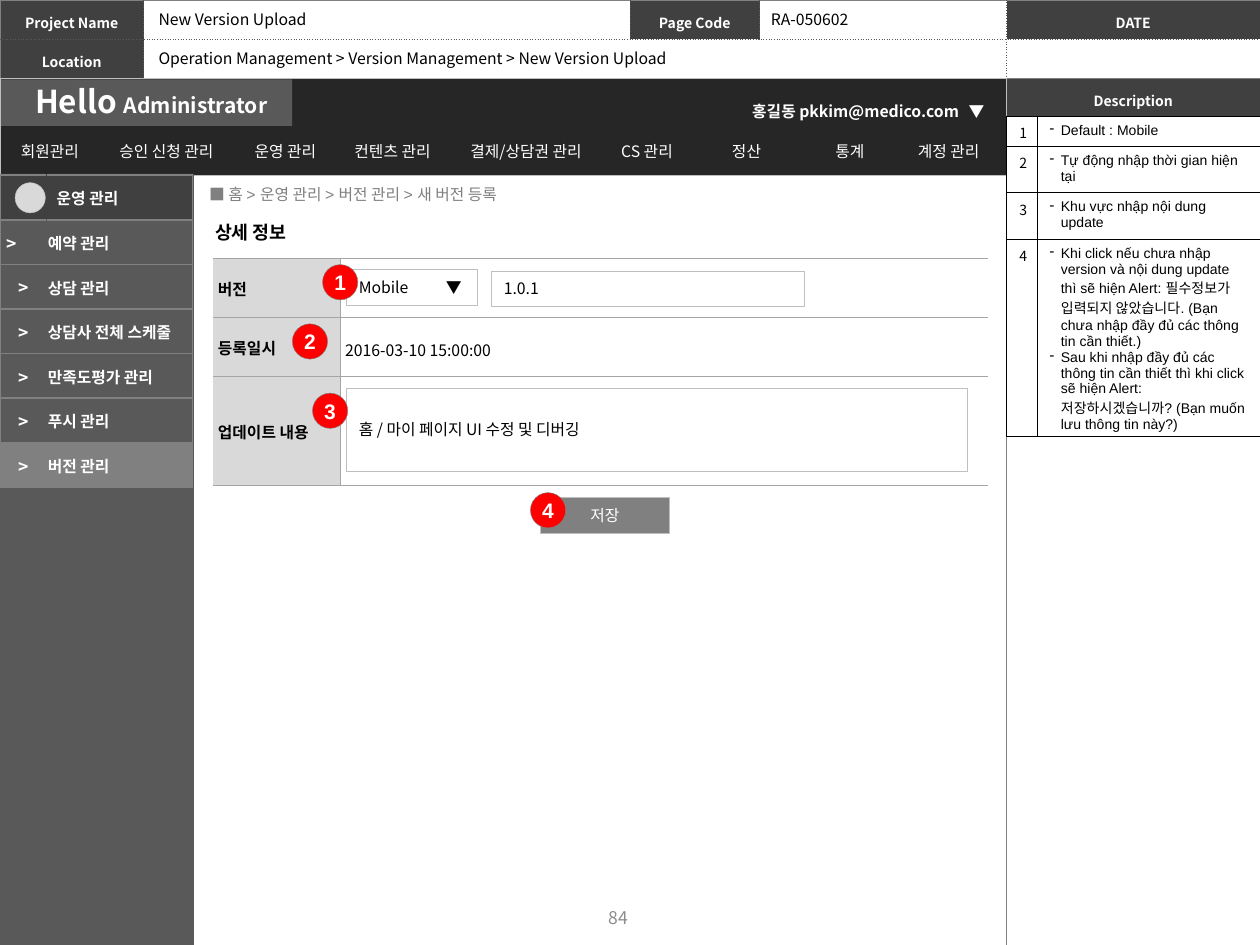
from lxml.etree import SubElement, Element
from pptx import Presentation
from pptx.dml.color import RGBColor
from pptx.enum.shapes import MSO_SHAPE
from pptx.enum.text import MSO_ANCHOR, PP_ALIGN
from pptx.oxml.ns import qn
from pptx.util import Inches, Pt

BLACK = RGBColor(0, 0, 0)
WHITE = RGBColor(255, 255, 255)
NAV = RGBColor(0x26, 0x26, 0x26)
DARK = RGBColor(0x40, 0x40, 0x40)
SIDE = RGBColor(0x59, 0x59, 0x59)
GRAY = RGBColor(0x80, 0x80, 0x80)
PAGE = RGBColor(0x8C, 0x8C, 0x8C)
RULE = RGBColor(0xA5, 0xA5, 0xA5)
SILVER = RGBColor(0xBF, 0xBF, 0xBF)
LIGHT = RGBColor(0xD9, 0xD9, 0xD9)
RED = RGBColor(255, 0, 0)
NOTO = "Noto Sans CJK KR"
CENTER = PP_ALIGN.CENTER
TOP, MIDDLE = MSO_ANCHOR.TOP, MSO_ANCHOR.MIDDLE

HEADER = [["Project Name", "", "Page Code", "", "DATE"], ["Location", "", "", "", ""]]
MENU = [("회원관리", 0.75), ("승인 신청 관리", 1.1), ("운영 관리", 0.79),
        ("컨텐츠 관리", 0.91), ("결제/상담권 관리", 1.21), ("CS 관리", 0.71),
        ("정산", 0.87), ("통계", 0.77), ("계정 관리", 0.8)]
SIDEBAR = ["운영 관리", "예약 관리", "상담 관리", "상담사 전체 스케줄",
           "만족도평가 관리", "푸시 관리", "버전 관리"]
FORM = [("버전", "", 0.47), ("등록일시", "2016-03-10 15:00:00", 0.47),
        ("업데이트 내용", "", 0.86)]
NOTES = [
    (["Default : Mobile"], 0.24),
    (["Tự động nhập thời gian hiện tại"], 0.37),
    (["Khu vực nhập nội dung update"], 0.37),
    (["Khi click nếu chưa nhập version và nội dung update thì sẽ hiện Alert: "
      "필수정보가 입력되지 않았습니다. (Bạn chưa nhập đầy đủ các thông tin cần thiết.)",
      "Sau khi nhập đầy đủ các thông tin cần thiết thì khi click sẽ hiện Alert: "
      "저장하시겠습니까? (Bạn muốn lưu thông tin này?)"], 1.56),
]
MARKERS = [("1", 2.56, 2.1), ("2", 2.32, 2.57), ("4", 4.21, 3.91), ("3", 2.48, 3.12)]
LABELS = [("New Version Upload", 1.16, 0.03, 1.39),
          ("RA-050602", 6.02, 0.03, 0.83),
          ("Operation Management > Version Management > New Version Upload",
           1.16, 0.34, 4.35)]

prs = Presentation()
prs.slide_width, prs.slide_height = Inches(10), Inches(7.5)
s = prs.slides.add_slide(prs.slide_layouts[6])


def add_run(p, text, size=9, color=BLACK, bold=False, font=NOTO):
    r = p.add_run()
    r.text = text
    r.font.size, r.font.bold, r.font.name = Pt(size), bold, font
    r.font.color.rgb = color
    SubElement(r._r.get_or_add_rPr(), qn("a:ea")).set("typeface", NOTO)


def write(tf, texts, align=None, spacing=None, bullet=False, tab=None, **style):
    for i, text in enumerate(texts):
        p = tf.add_paragraph() if i else tf.paragraphs[0]
        pPr = p._p.get_or_add_pPr()
        if align is not None:
            p.alignment = align
        if spacing:
            p.line_spacing = spacing
        if bullet:
            pPr.set("marL", str(Inches(0.09)))
            pPr.set("indent", str(-Inches(0.09)))
            SubElement(pPr, qn("a:buChar")).set("char", "-")
        if tab:
            stop = SubElement(SubElement(pPr, qn("a:tabLst")), qn("a:tab"))
            stop.set("pos", str(Inches(tab)))
            stop.set("algn", "l")
        if text:
            add_run(p, text, **style)
        else:
            SubElement(p._p, qn("a:endParaRPr")).set("sz", "800")


def add_label(text, x, y, w, h, anchor=TOP, wrap=False, left=0.1, **style):
    tf = s.shapes.add_textbox(Inches(x), Inches(y), Inches(w), Inches(h)).text_frame
    tf.word_wrap, tf.vertical_anchor, tf.margin_left = wrap, anchor, Inches(left)
    write(tf, [text] if text else [], **style)
    return tf


def add_box(x, y, w, h, fill, line=None, text=None, kind=MSO_SHAPE.RECTANGLE, **style):
    sp = s.shapes.add_shape(kind, Inches(x), Inches(y), Inches(w), Inches(h))
    sp.shadow.inherit = False
    sp.fill.solid()
    sp.fill.fore_color.rgb = fill
    if line is None:
        sp.line.fill.background()
    else:
        sp.line.color.rgb, sp.line.width = line, Pt(0.25)
    if text:
        tf = sp.text_frame
        tf.word_wrap, tf.vertical_anchor = False, MIDDLE
        write(tf, [text], **{"align": PP_ALIGN.LEFT, **style})


def border(cell, position, side, line):
    ln = Element(qn("a:ln" + side))
    if line is None:
        SubElement(ln, qn("a:noFill"))
    else:
        color, width, dash = line
        ln.set("w", str(Pt(width)))
        SubElement(SubElement(ln, qn("a:solidFill")), qn("a:srgbClr")).set("val", str(color))
        SubElement(ln, qn("a:prstDash")).set("val", dash)
    cell._tc.get_or_add_tcPr().insert(position, ln)


def add_grid(x, y, cols, rows, cells, ends, tops, across, down):
    """cells: rows of (texts, fill, margins, anchor, style)"""
    table = s.shapes.add_table(len(rows), len(cols), Inches(x), Inches(y),
                               Inches(sum(cols)), Inches(sum(rows))).table
    table.first_row = table.horz_banding = False
    for col, w in zip(table.columns, cols):
        col.width = Inches(w)
    for row, h in zip(table.rows, rows):
        row.height = Inches(h)
    for i, line in enumerate(cells):
        for j, (texts, fill, margins, anchor, style) in enumerate(line):
            cell = table.cell(i, j)
            sides = [("L", down[i] if j else ends),
                     ("R", down[i] if j < len(cols) - 1 else ends),
                     ("T", across if i else tops),
                     ("B", across if i < len(rows) - 1 else tops)]
            for k, (side, stroke) in enumerate(sides):
                border(cell, k, side, stroke)
            if fill is None:
                cell.fill.background()
            else:
                cell.fill.solid()
                cell.fill.fore_color.rgb = fill
            (cell.margin_left, cell.margin_top,
             cell.margin_right, cell.margin_bottom) = map(Inches, margins)
            cell.vertical_anchor = anchor
            write(cell.text_frame, texts, **style)
    return table


solid, dotted = (GRAY, 0.5, "solid"), (SIDE, 0.5, "sysDot")
head = dict(size=8, color=WHITE, bold=True, align=CENTER, spacing=1.3)
normal = (0.1, 0.05, 0.1, 0.05)


def head_cell(text):
    return [text], DARK if text else None, (0.04,) * 4, MIDDLE, head


header = add_grid(0, 0, [1.14, 3.86, 1.03, 1.96, 2.01], [0.31] * 2,
                  [[head_cell(t) for t in row] for row in HEADER],
                  solid, solid, dotted, [dotted] * 2)
header.cell(1, 1).merge(header.cell(1, 3))
add_grid(7.99, 0.62, [2.01], [0.31, 6.57], [[head_cell("Description")], [head_cell("")]],
         solid, solid, dotted, [dotted] * 2)

add_box(0, 0.62, 7.99, 0.77, NAV, SILVER)
add_box(0.01, 0.63, 2.31, 0.37, SIDE)
title = add_label("", 0.18, 0.6, 2.09, 0.4)
for text, size in [("Hello ", 18), ("Administrator", 12)]:
    add_run(title.paragraphs[0], text, size, WHITE, True)
nav_line = (NAV, 1, "solid")
add_grid(0.02, 1.04, [w for _, w in MENU], [0.31],
         [[([t], None, normal, MIDDLE, dict(color=WHITE, align=CENTER)) for t, _ in MENU]],
         nav_line, nav_line, nav_line, [nav_line])
user = dict(color=WHITE, bold=True, spacing=1.2)
add_label("홍길동 pkkim@medico.com", 5.82, 0.73, 1.94, 0.26, wrap=True, align=CENTER, **user)
add_label("▼", 7.59, 0.73, 0.33, 0.26, **user)
add_label("■ 홈 > 운영 관리 > 버전 관리 > 새 버전 등록", 1.46, 1.37, 6.22, 0.34,
          MIDDLE, True, 0.2, color=GRAY, font="Arial")

rule = (RULE, 0.5, "solid")
tight = (0.04, 0.01, 0.01, 0)
add_grid(1.69, 2.05, [1.01, 5.14], [h for *_, h in FORM],
         [[([name], LIGHT, tight, MIDDLE, dict(bold=True)),
           ([value], WHITE, tight, MIDDLE, dict(spacing=1.2))] for name, value, _ in FORM],
         None, rule, rule, [rule] * len(FORM))
add_box(3.9, 2.15, 2.48, 0.28, WHITE, SILVER, "1.0.1")
add_box(4.29, 3.95, 1.02, 0.28, GRAY, SILVER, "저장", color=WHITE, align=CENTER)
add_label("상세 정보", 1.61, 1.71, 0.84, 0.28, size=10.5, bold=True)
add_box(2.75, 3.08, 4.93, 0.66, WHITE, SILVER, "홈 / 마이 페이지 UI 수정 및 디버깅")
add_box(2.75, 2.14, 1.04, 0.28, WHITE, SILVER, "Mobile\t▼", tab=0.69)

add_box(0, 1.38, 1.54, 6.12, SIDE)
side_fills = [DARK] + [SIDE] * (len(SIDEBAR) - 2) + [GRAY]
side_line = (GRAY, 1, "solid")
side_rows = []
for i, (name, fill) in enumerate(zip(SIDEBAR, side_fills)):
    arrow = (0.01, 0.01, 0.19 if i == 1 else 0.01, 0)
    style = dict(color=WHITE, bold=True)
    side_rows.append([
        ([">" if i else ""], fill, arrow, MIDDLE, dict(style, size=10, align=CENTER)),
        ([name], fill, (0.01 if i else 0.08, 0.01, 0.01, 0), MIDDLE, style)])
add_grid(0, 1.39, [0.37, 1.16], [2.48 / len(SIDEBAR)] * len(SIDEBAR), side_rows,
         side_line, side_line, side_line, [(f, 1, "solid") for f in side_fills])
add_box(0.12, 1.45, 0.24, 0.24, LIGHT, SILVER, kind=MSO_SHAPE.OVAL)

for text, x, y, w in LABELS:
    add_label(text, x, y, w, 0.25)
add_label("84", 3.74, 7.08, 2.33, 0.4, MIDDLE, True, size=10, color=PAGE, align=CENTER)

ink = (BLACK, 0.5, "solid")
add_grid(7.99, 0.92, [0.23, 1.77], [h for _, h in NOTES],
         [[([str(n)], WHITE, normal, TOP, dict(size=8)),
           (texts, WHITE, normal, TOP, dict(size=8, font="Arial", bullet=True))]
          for n, (texts, _) in enumerate(NOTES, 1)],
         ink, ink, ink, [ink] * len(NOTES))
for number, x, y in MARKERS:
    add_box(x, y, 0.28, 0.28, RED, GRAY, number, MSO_SHAPE.OVAL,
            size=12, color=WHITE, bold=True, font="Arial", align=CENTER)

prs.save("out.pptx")
